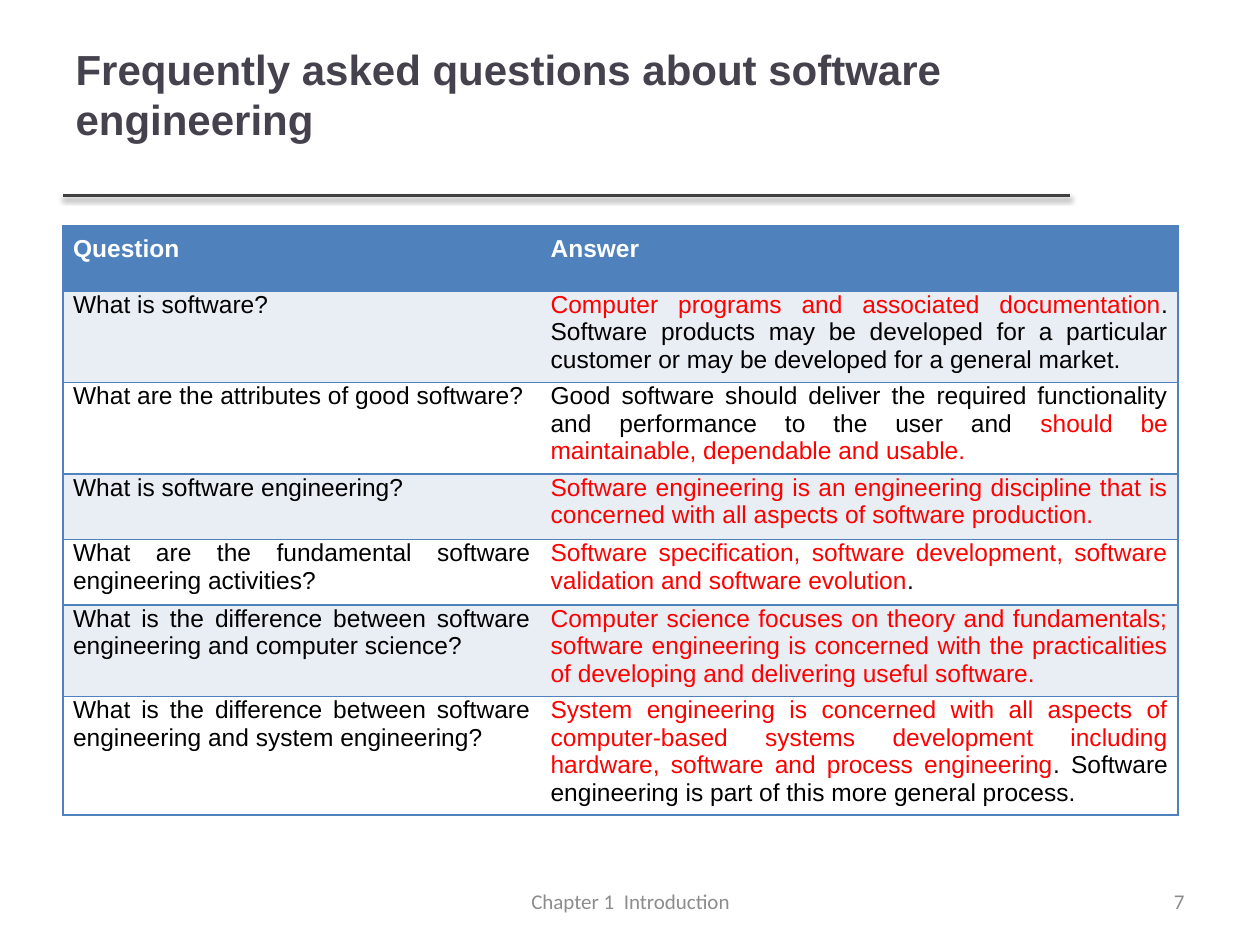
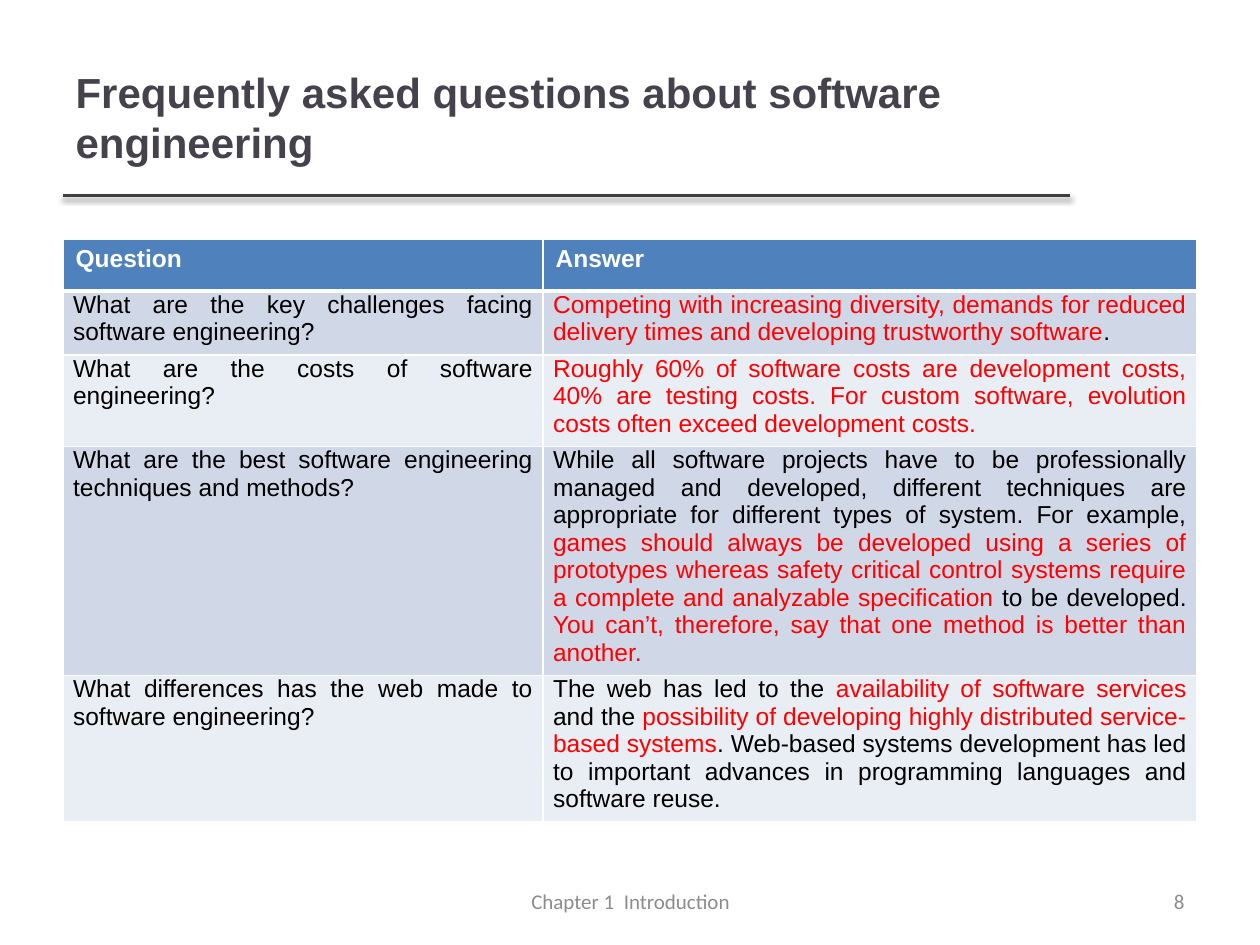
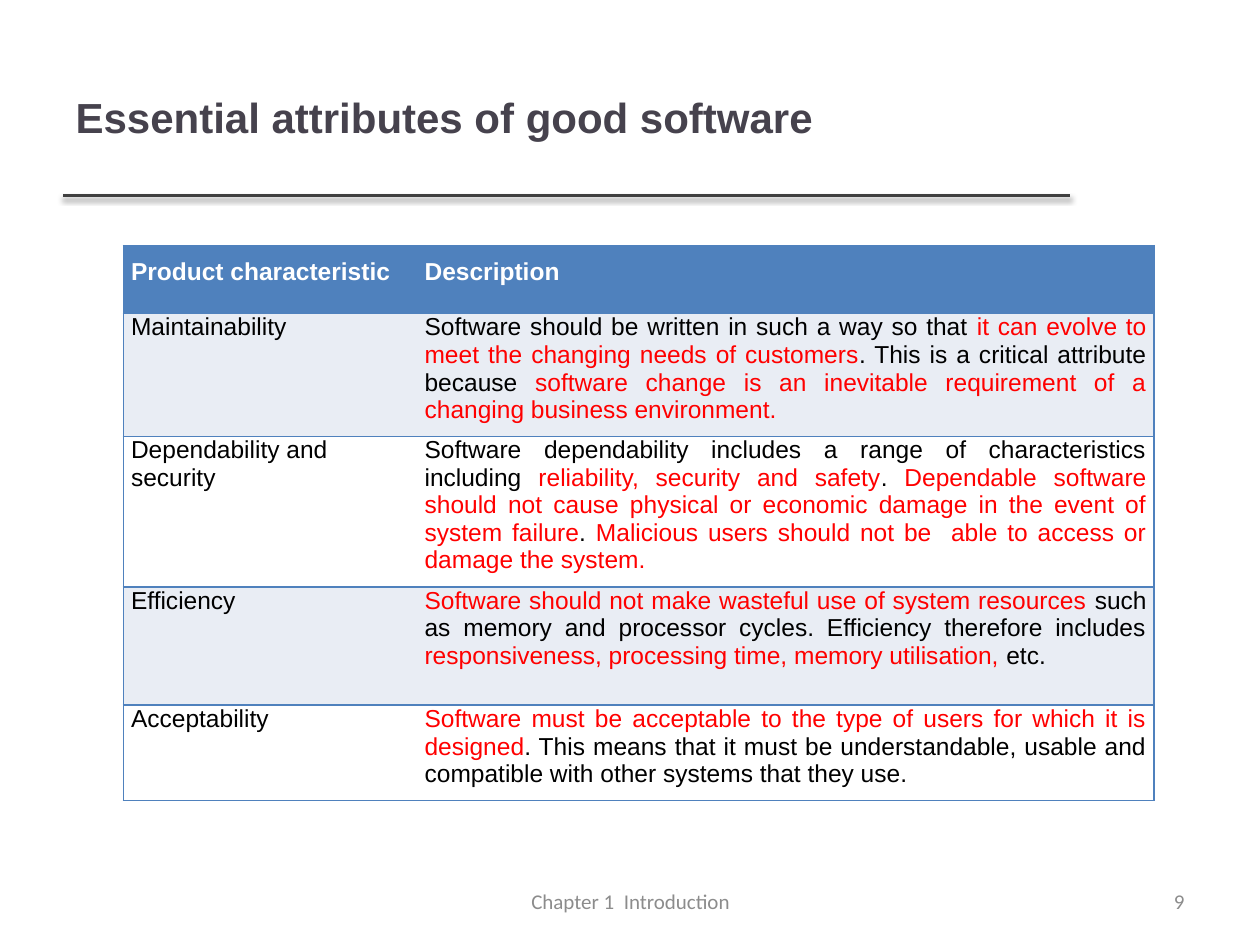
"""Build three slides of question and attribute tables on software engineering."""
from lxml.etree import SubElement
from pptx import Presentation
from pptx.dml.color import RGBColor as Rgb
from pptx.enum.shapes import MSO_CONNECTOR as Link
from pptx.enum.text import MSO_ANCHOR as Anchor, MSO_AUTO_SIZE as Fit, PP_ALIGN as Align
from pptx.oxml import parse_xml
from pptx.oxml.ns import nsdecls, qn
from pptx.util import Inches, Pt

WHITE = Rgb(0xFF, 0xFF, 0xFF)
BLACK = Rgb(0, 0, 0)
RED = Rgb(0xFF, 0, 0)
BLUE = Rgb(0x4F, 0x81, 0xBD)
PALE = Rgb(0xE9, 0xED, 0xF4)
MIST = Rgb(0xD0, 0xD8, 0xE8)
INK = Rgb(0x46, 0x42, 0x4D)
RULE = Rgb(0x40, 0x40, 0x40)
GREY = Rgb(0x8C, 0x8C, 0x8C)

TITLE = {"name": "Arial", "size": Pt(24), "bold": True}
HEAD = {"name": "Arial", "size": Pt(14), "bold": True}
BODY = {"name": "Arial", "size": Pt(14), "bold": False}
SMALL = {"name": "Calibri", "size": Pt(12)}

FAQ = "Frequently asked questions about software engineering"
FOOTER = "Chapter 1  Introduction"
FIRST = 7

# Text between asterisks is red.
SLIDES = [
    {
        "title": FAQ, "box": (0.5, 0.3, 8.41, 1.29), "lift": 0.45,
        "at": (0.5, 1.79), "cols": (3.79, 5.06),
        "rows": (0.52, 0.67, 0.67, 0.52, 0.52, 0.67, 0.86),
        "head": (0.08, 0.08, 0.08, 0.08), "body": (0.08, 0, 0.08, 0.07),
        "bands": (PALE, WHITE), "framed": True, "align": Align.JUSTIFY,
        "cells": [
            ("Question", "Answer"),
            ("What is software?",
             "*Computer programs and associated documentation*. Software products may be "
             "developed for a particular customer or may be developed for a general market."),
            ("What are the attributes of good software?",
             "Good software should deliver the required functionality and performance to the "
             "user and *should be maintainable, dependable and usable.*"),
            ("What is software engineering?",
             "*Software engineering is an engineering discipline that is concerned with all "
             "aspects of software production.*"),
            ("What are the fundamental software engineering activities?",
             "*Software specification, software development, software validation and "
             "software evolution*."),
            ("What is the difference between software engineering and computer science?",
             "*Computer science focuses on theory and fundamentals; software engineering is "
             "concerned with the practicalities of developing and delivering useful software.*"),
            ("What is the difference between software engineering and system engineering?",
             "*System engineering is concerned with all aspects of computer-based systems "
             "development including hardware, software and process engineering*. Software "
             "engineering is part of this more general process."),
        ],
    },
    {
        "title": FAQ, "box": (0.5, 0.3, 7.98, 1.25), "lift": 0.05,
        "at": (0.5, 1.9), "cols": (3.81, 5.19), "rows": (0.41,) * 5,
        "head": (0.1, 0.05, 0.1, 0.05), "body": (0.08, 0, 0.08, 0.07),
        "bands": (MIST, PALE), "framed": False, "align": Align.JUSTIFY,
        "cells": [
            ("Question", "Answer"),
            ("What are the key challenges facing software engineering?",
             "*Competing with increasing diversity, demands for reduced delivery times and "
             "developing trustworthy software*."),
            ("What are the costs of software engineering?",
             "*Roughly 60% of software costs are development costs, 40% are testing costs. "
             "For custom software, evolution costs often exceed development costs.*"),
            ("What are the best software engineering techniques and methods?",
             "While all software projects have to be professionally managed and developed, "
             "different techniques are appropriate for different types of system. For example, "
             "*games should always be developed using a series of prototypes whereas safety "
             "critical control systems require a complete and analyzable specification *to be "
             "developed. *You can’t, therefore, say that one method is better than another.*"),
            ("What differences has the web made to software engineering?",
             "The web has led to the *availability of software services* and the *possibility "
             "of developing highly distributed service-based systems*. Web-based systems "
             "development has led to important advances in programming languages and "
             "software reuse."),
        ],
    },
    {
        "title": "Essential attributes of good software",
        "box": (0.5, 0.3, 7.98, 1.25), "lift": 0.05,
        "at": (0.98, 1.95), "cols": (2.33, 5.85), "rows": (0.54, 0.94, 1.14, 0.94, 0.74),
        "head": (0.06, 0.1, 0.06, 0.1), "body": (0.06, 0, 0.06, 0.1),
        "bands": (PALE, WHITE), "framed": True, "align": Align.LEFT,
        "cells": [
            ("Product characteristic", "Description"),
            ("Maintainability",
             "Software should be written in such a way so that *it can evolve to meet the "
             "changing needs of customers*. This is a critical attribute because *software "
             "change is an inevitable requirement of a changing business environment.*"),
            ("Dependability and security",
             "Software dependability includes a range of characteristics including "
             "*reliability, security and safety*. *Dependable software should not cause "
             "physical or economic damage in the event of system failure*. *Malicious users "
             "should not be  able to access or damage the system.*"),
            ("Efficiency",
             "*Software should not make wasteful use of system resources *such as memory and "
             "processor cycles. Efficiency therefore includes *responsiveness, processing "
             "time, memory utilisation, *etc."),
            ("Acceptability",
             "*Software must be acceptable to the type of users for which it is designed*. "
             "This means that it must be understandable, usable and compatible with other "
             "systems that they use."),
        ],
    },
]


def apply(item, form):
    for key, val in form.items():
        setattr(item, key, val)


def write(para, text, form, tint, align):
    para.alignment = align
    for n, part in enumerate(text.split("*")):
        if part:
            run = para.add_run()
            run.text = part
            apply(run.font, form)
            run.font.color.rgb = RED if n % 2 else tint


def place(shape, box):
    apply(shape, dict(zip(("left", "top", "width", "height"), map(Inches, box))))


def add_rule(slide, layout):
    ends = map(Inches, (0.5, 1.55, 8.49, 1.55))
    rule = slide.shapes.add_connector(Link.STRAIGHT, *ends)
    rule.line.color.rgb = RULE
    rule.line.width = Pt(2)
    rule.element.spPr.append(parse_xml(
        f'<a:effectLst {nsdecls("a")}><a:outerShdw blurRad="40000" dist="20000" '
        'dir="5400000" rotWithShape="0"><a:srgbClr val="000000"><a:alpha val="38000"/>'
        '</a:srgbClr></a:outerShdw></a:effectLst>'))
    layout.element.cSld.spTree.append(rule.element)


def add_title(slide, data):
    title = slide.shapes.title
    place(title, data["box"])
    frame = title.text_frame
    apply(frame, {"auto_size": Fit.NONE, "word_wrap": True, "vertical_anchor": Anchor.MIDDLE,
                  "margin_bottom": Inches(data["lift"])})
    write(frame.paragraphs[0], data["title"], TITLE, INK, Align.LEFT)


def add_foot(slide, text, left, width, align):
    box = slide.shapes.add_textbox(*map(Inches, (left, 6.95, width, 0.4)))
    apply(box.text_frame, {"word_wrap": True, "vertical_anchor": Anchor.MIDDLE})
    write(box.text_frame.paragraphs[0], text, SMALL, GREY, align)


def edge(cell, sides):
    props = cell._tc.get_or_add_tcPr()
    for n, side in enumerate("LRTB"):
        tint, width = sides.get(side, (None, 1))
        line = SubElement(props, qn(f"a:ln{side}"), w=str(Pt(width)))
        if tint is None:
            SubElement(line, qn("a:noFill"))
        else:
            fill = SubElement(line, qn("a:solidFill"))
            SubElement(fill, qn("a:srgbClr"), val=str(tint))
        props.insert(n, line)


def borders(framed, row, col):
    if framed:
        return dict.fromkeys("TB" + "LR"[col], (BLUE, 1))
    sides = dict.fromkeys("LRTB", (WHITE, 1))
    if row < 2:
        sides["BT"[row]] = (WHITE, 3)
    return sides


def add_grid(slide, data):
    cols, rows = data["cols"], data["rows"]
    size = (*data["at"], sum(cols), sum(rows))
    grid = slide.shapes.add_table(len(rows), len(cols), *map(Inches, size)).table
    grid.horz_banding = False
    for col, width in zip(grid.columns, cols):
        col.width = Inches(width)
    for row, height in zip(grid.rows, rows):
        row.height = Inches(height)
    for r, texts in enumerate(data["cells"]):
        form, tint, pads, fill = (
            (BODY, BLACK, data["body"], data["bands"][(r - 1) % 2]) if r
            else (HEAD, WHITE, data["head"], BLUE))
        for c, text in enumerate(texts):
            cell = grid.cell(r, c)
            cell.fill.solid()
            cell.fill.fore_color.rgb = fill
            names = ("margin_left", "margin_top", "margin_right", "margin_bottom")
            apply(cell, dict(zip(names, map(Inches, pads))))
            edge(cell, borders(data["framed"], r, c))
            align = Align.JUSTIFY if c else data["align"]
            write(cell.text_frame.paragraphs[0], text, form, tint, align)


def main():
    deck = Presentation()
    deck.slide_width, deck.slide_height = Inches(10), Inches(7.5)
    layout = deck.slide_layouts[5]
    for num, data in enumerate(SLIDES, FIRST):
        slide = deck.slides.add_slide(layout)
        if num == FIRST:
            add_rule(slide, layout)
        add_title(slide, data)
        add_grid(slide, data)
        add_foot(slide, FOOTER, 3.42, 3.17, Align.CENTER)
        add_foot(slide, str(num), 7.17, 2.33, Align.RIGHT)
    deck.save("out.pptx")


if __name__ == "__main__":
    main()
